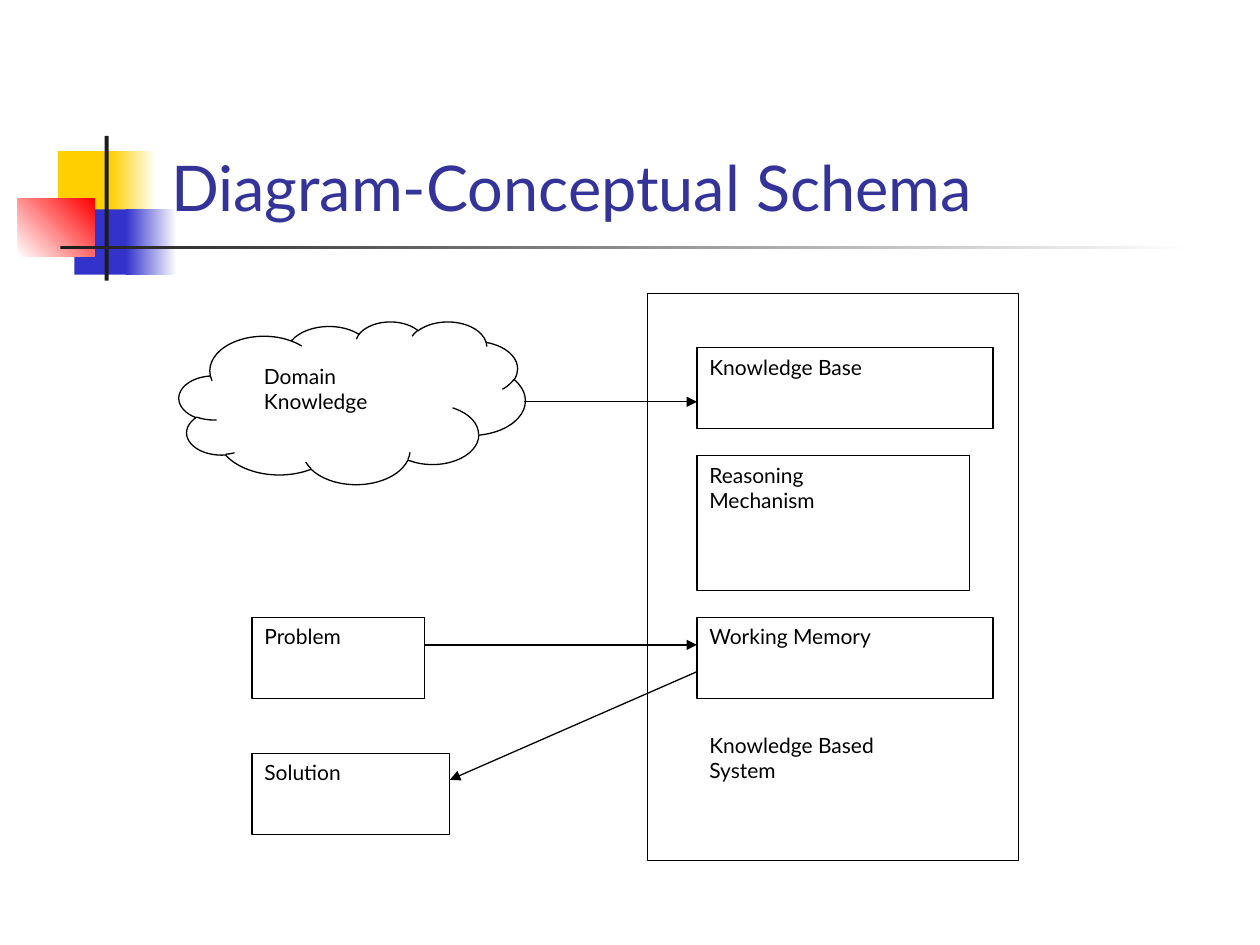
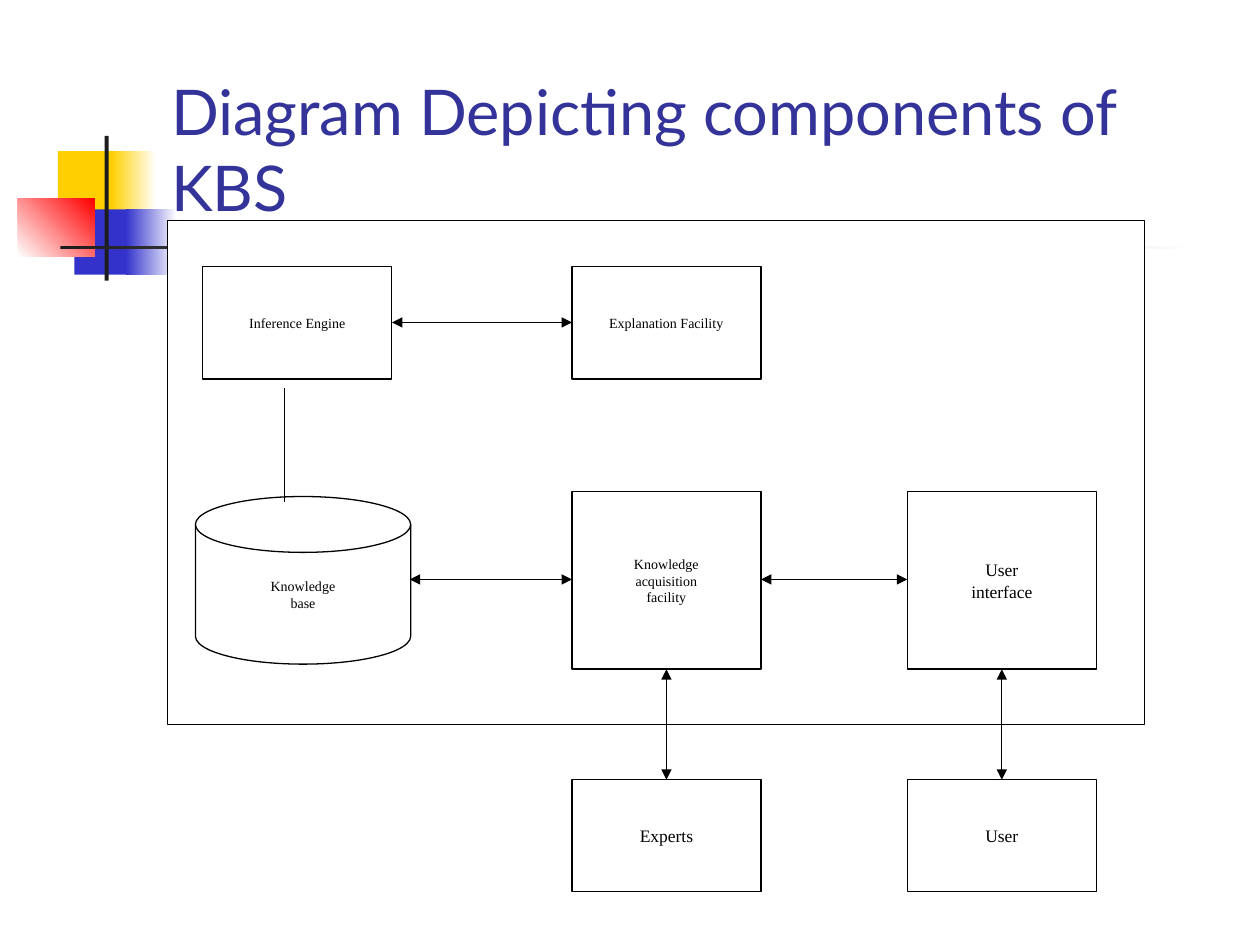
from lxml import etree
from pptx import Presentation
from pptx.dml.color import RGBColor
from pptx.enum.shapes import MSO_CONNECTOR, MSO_SHAPE
from pptx.enum.text import MSO_ANCHOR, PP_ALIGN
from pptx.oxml.ns import qn
from pptx.util import Cm, Pt

RECT = MSO_SHAPE.RECTANGLE
CLOUD = MSO_SHAPE.CLOUD
DISK = MSO_SHAPE.FLOWCHART_MAGNETIC_DISK
STRAIGHT = MSO_CONNECTOR.STRAIGHT
TOP, MIDDLE, BOTTOM = MSO_ANCHOR.TOP, MSO_ANCHOR.MIDDLE, MSO_ANCHOR.BOTTOM
LEFT, CENTER = PP_ALIGN.LEFT, PP_ALIGN.CENTER

BLACK = RGBColor(0x00, 0x00, 0x00)
WHITE = RGBColor(0xFF, 0xFF, 0xFF)
YELLOW = RGBColor(0xFF, 0xCF, 0x01)
BLUE = RGBColor(0x33, 0x33, 0xCC)
RED = RGBColor(0xFF, 0x00, 0x00)
CHARCOAL = RGBColor(0x1C, 0x1C, 0x1C)
INDIGO = RGBColor(0x33, 0x33, 0x99)

SANS, SERIF = "Lato", "Times New Roman"


def write(frame, text, size=12, font=SANS, color=BLACK, align=LEFT, anchor=TOP, inset=(0.25, 0.13)):
    """Fill a text frame, one paragraph for each line of text."""
    frame.word_wrap = True
    frame.vertical_anchor = anchor
    frame.margin_left, frame.margin_top = Cm(inset[0]), Cm(inset[1])
    frame.text = text
    for paragraph in frame.paragraphs:
        paragraph.alignment = align
        paragraph.font.size = Pt(size)
        paragraph.font.name = font
        paragraph.font.color.rgb = color


class Deck:
    """Holds the shared style and the current slide."""

    def __init__(self):
        """Start an empty 4:3 presentation."""
        self.show = Presentation()
        self.show.slide_width, self.show.slide_height = Cm(25.4), Cm(19.05)
        self.slide = None

    def new_slide(self, title):
        """Add a slide with the corner ornament and its title."""
        self.slide = self.show.slides.add_slide(self.show.slide_layouts[6])
        self.box(1.17, 3.05, 1.22, 1.32, fill=YELLOW, line=None)
        self.fade(2.24, 3.05, 0.91, 1.32, YELLOW, WHITE)
        self.box(1.5, 4.22, 1.17, 1.32, fill=BLUE, line=None)
        self.fade(2.54, 4.22, 1.02, 1.32, BLUE, WHITE)
        self.fade(0.36, 4.01, 1.55, 1.17, WHITE, RED, angle=45)
        self.box(2.11, 2.74, 0.08, 2.92, fill=CHARCOAL, line=None)
        self.fade(1.22, 4.95, 22.86, 0.08, CHARCOAL, WHITE)
        heading = self.slide.shapes.add_textbox(Cm(3.2), Cm(0.58), Cm(21.64), Cm(4.06))
        write(heading.text_frame, title, size=36, color=INDIGO, anchor=BOTTOM)

    def box(self, x, y, width, height, text="", kind=RECT, fill=WHITE, line=BLACK, **style):
        """Draw a preset shape with optional text."""
        shape = self.slide.shapes.add_shape(kind, Cm(x), Cm(y), Cm(width), Cm(height))
        shape.shadow.inherit = False
        if fill is None:
            shape.fill.background()
        else:
            shape.fill.solid()
            shape.fill.fore_color.rgb = fill
        if line is None:
            shape.line.fill.background()
        else:
            shape.line.color.rgb = line
            shape.line.width = Pt(0.75)
        if text:
            write(shape.text_frame, text, **style)
        return shape

    def fade(self, x, y, width, height, start, end, angle=0):
        """Draw a borderless rectangle with a two-colour gradient."""
        fill = self.box(x, y, width, height, line=None).fill
        fill.gradient()
        fill.gradient_angle = angle
        for stop, color in zip(fill.gradient_stops, (start, end)):
            stop.color.rgb = color

    def line(self, x1, y1, x2, y2, ends=()):
        """Draw a straight line with arrowheads at the named ends."""
        link = self.slide.shapes.add_connector(STRAIGHT, Cm(x1), Cm(y1), Cm(x2), Cm(y2))
        link.line.color.rgb = BLACK
        link.line.width = Pt(0.75)
        outline = link.line._get_or_add_ln()
        for end in ends:
            etree.SubElement(outline, qn(f"a:{end}"), type="triangle")
        etree.SubElement(link._element.spPr, qn("a:effectLst"))


def conceptual_schema(deck):
    """Build the slide on the conceptual schema."""
    deck.new_slide("Diagram-Conceptual Schema")
    part_x, part_width, row_height = 14.05, 5.97, 1.63
    input_x, memory_y = 5.08, 12.45
    deck.box(13.06, 5.92, 7.47, 11.43)
    deck.box(part_x, 7.01, part_width, row_height, "Knowledge Base")
    deck.box(part_x, 9.19, 5.49, 2.72, "Reasoning\nMechanism")
    deck.box(part_x, memory_y, part_width, row_height, "Working Memory")
    deck.box(part_x, 14.63, part_width, 2.18, "Knowledge Based\nSystem", line=None)
    deck.box(3.61, 6.48, 6.98, 3.28, "Domain\nKnowledge", kind=CLOUD, inset=(0.75, 0.35))
    deck.box(input_x, memory_y, 3.48, row_height, "Problem")
    deck.box(input_x, 15.19, 3.99, row_height, "Solution")
    for start, end in (
        ((8.57, 13), (part_x, 13)),
        ((part_x, 13.54), (9.07, 15.72)),
        ((10.57, 8.1), (part_x, 8.1)),
    ):
        deck.line(*start, *end, ends=("tailEnd",))


def kbs_components(deck):
    """Build the slide on the components of a KBS."""
    deck.new_slide("Diagram Depicting components of KBS")
    engine_x, facility_x, user_x, width = 4.09, 11.53, 18.29, 3.81
    top_y, middle_y, bottom_y = 5.38, 9.91, 15.72
    low, tall = 2.26, 3.58
    middle_end, middle_axis = middle_y + tall, 11.68
    both = ("headEnd", "tailEnd")
    label = {"fill": None, "font": SERIF, "align": CENTER, "anchor": MIDDLE}

    deck.box(3.38, 4.45, 19.69, 10.16)
    for x, y, height, text, size in (
        (engine_x, top_y, low, "Inference Engine", 8),
        (facility_x, top_y, low, "Explanation Facility", 8),
        (facility_x, middle_y, tall, "Knowledge\nacquisition\nfacility", 8),
        (user_x, middle_y, tall, "User\ninterface", 10),
        (facility_x, bottom_y, low, "Experts", 10),
        (user_x, bottom_y, low, "User", 10),
    ):
        deck.box(x, y, width, height, text, size=size, **label)
    deck.box(3.94, 10.01, 4.34, 3.38, "Knowledge\nbase", kind=DISK, size=8, **label)

    deck.line(engine_x + width, 6.5, facility_x, 6.5, both)
    deck.line(facility_x, middle_axis, 8.26, middle_axis, both)
    deck.line(facility_x + width, middle_axis, user_x, middle_axis, both)
    for x in (facility_x, user_x):
        deck.line(x + width / 2, middle_end, x + width / 2, bottom_y, both)
    deck.line(5.74, 7.82, 5.74, 10.11)


def main():
    """Build and save both slides."""
    deck = Deck()
    conceptual_schema(deck)
    kbs_components(deck)
    deck.show.save("out.pptx")


if __name__ == "__main__":
    main()
